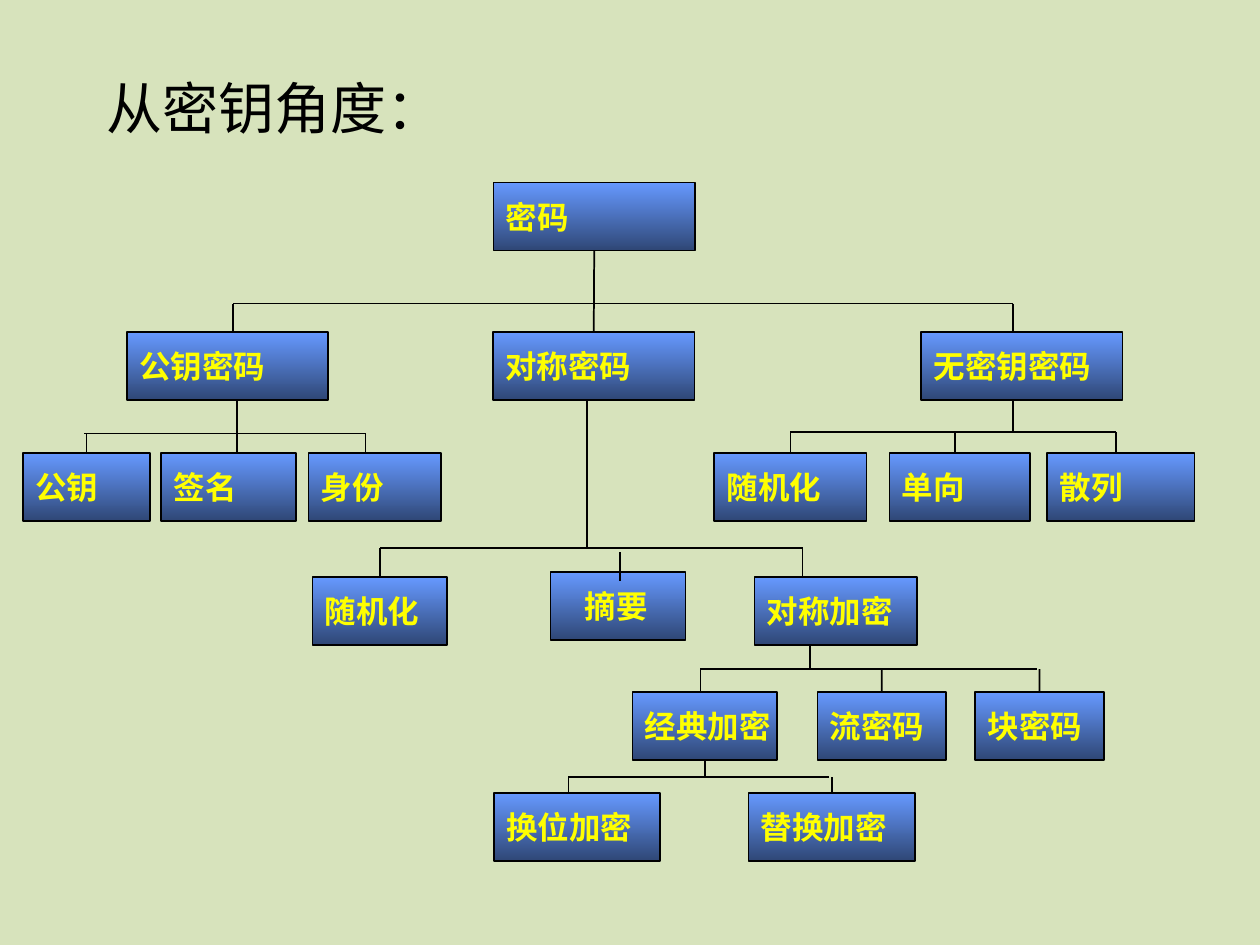
from dataclasses import dataclass
from lxml import etree
from pptx import Presentation
from pptx.dml.color import RGBColor
from pptx.enum.shapes import MSO_CONNECTOR, MSO_SHAPE
from pptx.enum.text import MSO_ANCHOR, PP_ALIGN
from pptx.oxml.ns import qn
from pptx.util import Cm, Pt

STRAIGHT = MSO_CONNECTOR.STRAIGHT
RECTANGLE = MSO_SHAPE.RECTANGLE
MIDDLE, BOTTOM = MSO_ANCHOR.MIDDLE, MSO_ANCHOR.BOTTOM
LEFT = PP_ALIGN.LEFT
TOP_SIDE, BOTTOM_SIDE = 0, 2


@dataclass
class Theme:
    background = RGBColor.from_string("D7E3BC")
    ink = RGBColor.from_string("000000")
    label = RGBColor.from_string("FFFF00")
    gradient = (RGBColor.from_string("6699FF"), RGBColor.from_string("2F4776"))
    title_font = "Calibri"
    label_font = "Arial"
    title_size = Pt(32)
    label_size = Pt(18)
    line = Pt(1)


theme = Theme()
box_height = 1.37
snap = 0.06

deck = Presentation()
deck.slide_width, deck.slide_height = Cm(25.4), Cm(19.05)
page = deck.slides.add_slide(deck.slide_layouts[6])
page.background.fill.solid()
page.background.fill.fore_color.rgb = theme.background


def write(box, text, font, size, color, bold, anchor):
    frame = box.text_frame
    frame.vertical_anchor = anchor
    para = frame.paragraphs[0]
    para.alignment = LEFT
    span = para.add_run()
    span.text = text
    span.font.name = font
    span.font.size = size
    span.font.bold = bold
    span.font.color.rgb = color
    return frame


def draw_line(x1, y1, x2, y2, upper=None, lower=None):
    line = page.shapes.add_connector(STRAIGHT, Cm(x1), Cm(y1), Cm(x2), Cm(y2))
    line.line.color.rgb = theme.ink
    line.line.width = theme.line
    etree.SubElement(line._element.spPr, qn("a:effectLst"))
    if upper and abs(x1 - centers[upper]) <= snap:
        line.begin_connect(boxes[upper], BOTTOM_SIDE)
    if lower and abs(x2 - centers[lower]) <= snap:
        line.end_connect(boxes[lower], TOP_SIDE)


title = page.shapes.add_textbox(Cm(1.9), Cm(0.43), Cm(19.89), Cm(2.54))
write(title, "从密钥角度：", theme.title_font, theme.title_size, theme.ink, False, BOTTOM).word_wrap = True

rows = [
    (3.68, [("root", "密码", 9.95, 4.06)]),
    (6.7, [("public", "公钥密码", 2.56, 4.06), ("symmetric", "对称密码", 9.94, 4.06),
           ("keyless", "无密钥密码", 18.57, 4.06)]),
    (9.14, [("public key", "公钥", 0.46, 2.57), ("signature", "签名", 3.25, 2.72),
            ("identity", "身份", 6.22, 2.67), ("keyless random", "随机化", 14.4, 3.07),
            ("one way", "单向", 17.93, 2.84), ("hash", "散列", 21.11, 2.97)]),
    (11.53, [("digest", "摘要", 11.1, 2.72)]),
    (11.63, [("random", "随机化", 6.3, 2.72), ("encryption", "对称加密", 15.21, 3.28)]),
    (13.95, [("classic", "经典加密", 12.75, 2.92), ("stream", "流密码", 16.48, 2.59),
             ("block", "块密码", 19.66, 2.59)]),
    (15.99, [("transposition", "换位加密", 9.96, 3.35), ("substitution", "替换加密", 15.09, 3.35)]),
]
boxes, centers, tops = {}, {}, {}
for top, members in rows:
    for key, text, left, width in members:
        box = page.shapes.add_shape(RECTANGLE, Cm(left), Cm(top), Cm(width), Cm(box_height))
        box.shadow.inherit = False
        box.fill.gradient()
        box.fill.gradient_angle = 270
        for stop, color in zip(box.fill.gradient_stops, theme.gradient):
            stop.color.rgb = color
        box.line.color.rgb = theme.ink
        box.line.width = theme.line
        frame = write(box, text, theme.label_font, theme.label_size, theme.label, True, MIDDLE)
        frame.word_wrap = False
        boxes[key], centers[key], tops[key] = box, left + width / 2, top
boxes["digest"].text_frame.margin_left = Cm(0.69)

branches = [
    ("root", 11.94, 6.12, "symmetric", {"public": 4.7, "keyless": 20.42}),
    ("public", 4.78, 8.74, "signature", {"public key": 1.7, "identity": 7.37}),
    ("keyless", 20.42, 8.71, None, {"keyless random": 15.93, "one way": 19.25, "hash": 22.5}),
    ("symmetric", 11.84, 11.05, None, {"random": 7.67, "encryption": 16.18}),
    ("encryption", 16.33, 13.49, None, {"classic": 14.12, "stream": 17.75, "block": 20.9}),
    ("classic", 14.17, 15.67, None, {"transposition": 11.46, "substitution": 16.71}),
]
for parent, stem, bar, through, drops in branches:
    if abs(stem - centers[parent]) <= snap:
        stem = centers[parent]
    stem_end = tops[through] if through else bar
    draw_line(stem, tops[parent] + box_height, stem, stem_end, parent, through)
    draw_line(min(drops.values()), bar, max(drops.values()), bar)
    for child, x in drops.items():
        if abs(x - centers[child]) <= snap:
            x = centers[child]
        draw_line(x, bar, x, tops[child], lower=child)
draw_line(12.5, 11.13, 12.5, 11.71)

deck.save("out.pptx")
